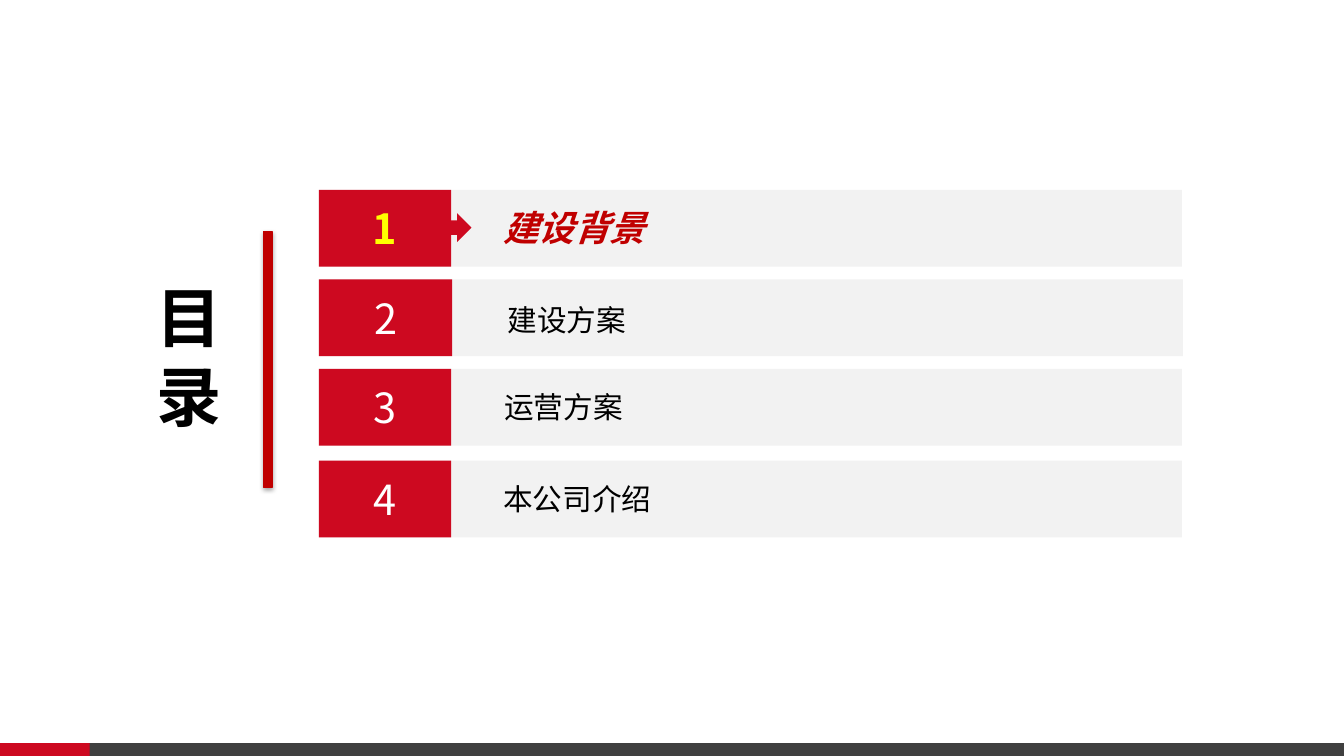
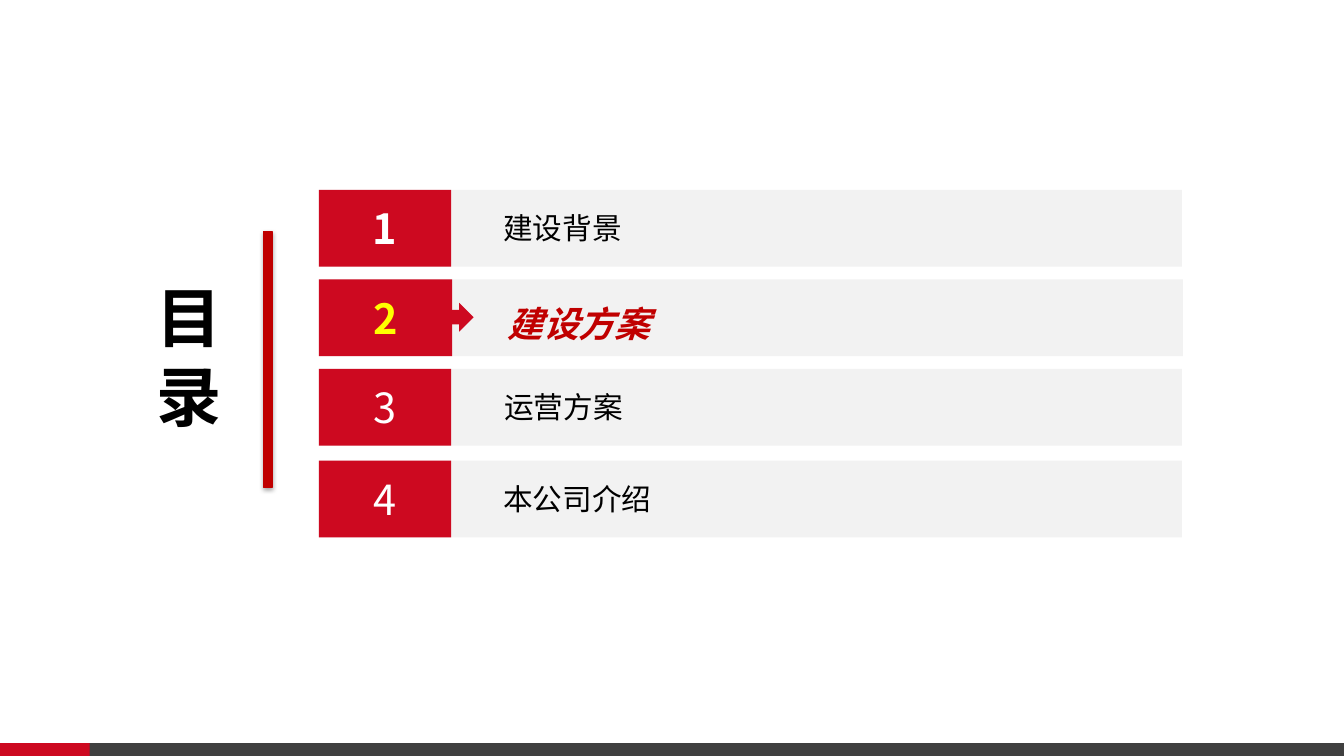
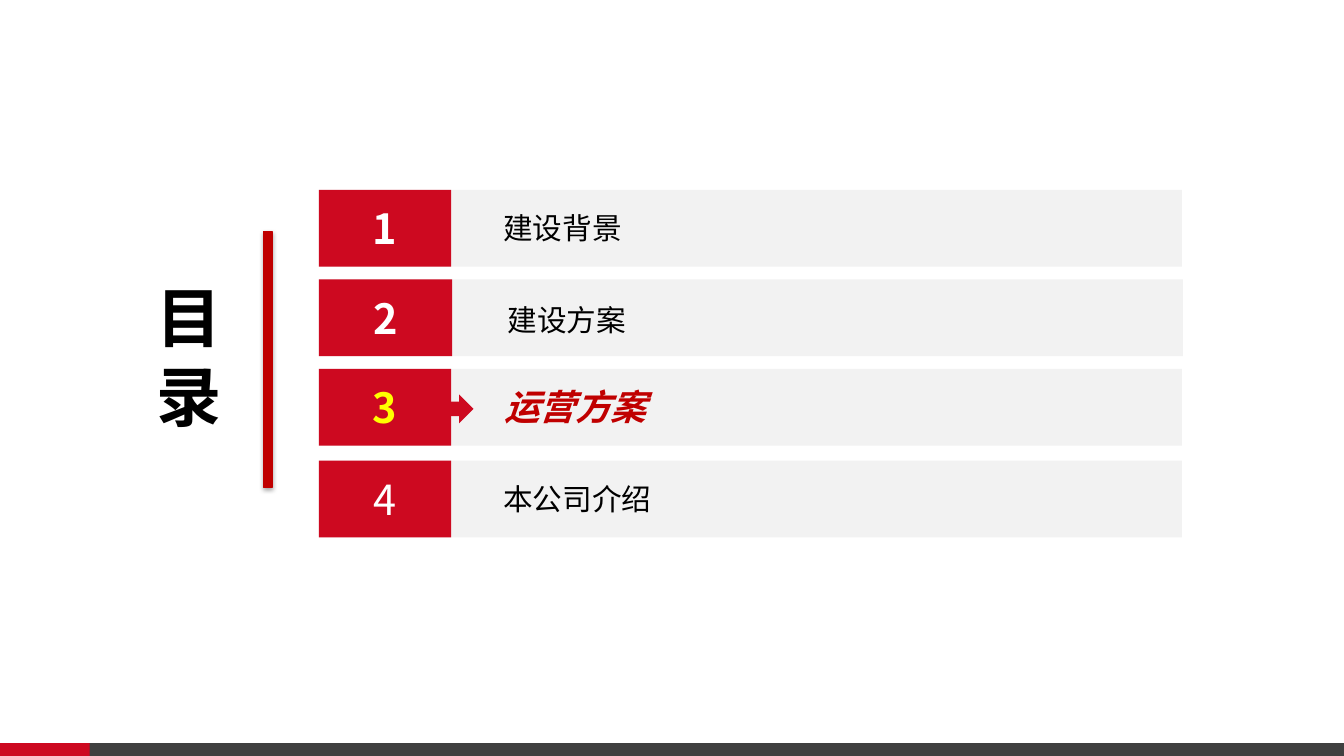
"""Build three agenda slides, each highlighting its current section."""
from dataclasses import dataclass

import pptx
import pptx.dml.color
import pptx.enum.shapes
import pptx.enum.text
import pptx.oxml
import pptx.oxml.ns
import pptx.util
from pptx.shapes.autoshape import Shape
from pptx.slide import Slide

EMU_PER_PX = 9144
FONT = "Noto Sans CJK SC"
RED, DARK_RED, GRAY = "CD0920", "C00000", "404040"
PALE, WHITE, YELLOW, BLACK = "F2F2F2", "FFFFFF", "FFFF00", "000000"
RECTANGLE = pptx.enum.shapes.MSO_SHAPE.RECTANGLE
RIGHT_ARROW = pptx.enum.shapes.MSO_SHAPE.RIGHT_ARROW
LEFT = pptx.enum.text.PP_ALIGN.LEFT
CENTER = pptx.enum.text.PP_ALIGN.CENTER
ROW_LEFT, ROW_HEIGHT = 299, 72
SHADOW = (
    f'<a:effectLst {pptx.oxml.ns.nsdecls("a")}>'
    '<a:outerShdw blurRad="39370" dist="22860" dir="5400000" rotWithShape="0">'
    '<a:srgbClr val="000000"><a:alpha val="35000"/></a:srgbClr>'
    "</a:outerShdw></a:effectLst>"
)


@dataclass(frozen=True)
class Box:
    left: int
    top: int
    width: int
    height: int

    def emu(self) -> list[pptx.util.Emu]:
        return [px(value) for value in (self.left, self.top, self.width, self.height)]


@dataclass(frozen=True)
class TextStyle:
    size: int
    color: str
    bold: bool = False
    italic: bool = False


@dataclass(frozen=True)
class Section:
    number: int
    name: str
    top: int
    bar_width: int
    number_width: int
    label: Box
    current_label: Box
    arrow: Box


SECTIONS = (
    Section(1, "建设背景", 178, 809, 124,
            Box(462, 200, 614, 27), Box(462, 200, 614, 27), Box(403, 200, 39, 27)),
    Section(2, "建设方案", 262, 810, 125,
            Box(466, 278, 132, 44), Box(466, 278, 155, 50), Box(405, 284, 39, 27)),
    Section(3, "运营方案", 346, 809, 124,
            Box(463, 368, 614, 27), Box(463, 368, 614, 27), Box(405, 370, 39, 27)),
    Section(4, "本公司介绍", 432, 809, 124,
            Box(462, 454, 614, 27), Box(462, 454, 614, 27), Box(405, 454, 39, 27)),
)
LABEL = TextStyle(20, BLACK)
CURRENT_LABEL = TextStyle(24, DARK_RED, bold=True, italic=True)
TITLE = TextStyle(44, BLACK, bold=True)


def px(value: int) -> pptx.util.Emu:
    return pptx.util.Emu(value * EMU_PER_PX)


def rgb(value: str) -> pptx.dml.color.RGBColor:
    return pptx.dml.color.RGBColor.from_string(value)


def add_block(slide: Slide, box: Box, color: str, preset=RECTANGLE) -> Shape:
    shape = slide.shapes.add_shape(preset, *box.emu())
    shape.shadow.inherit = False
    shape.fill.solid()
    shape.fill.fore_color.rgb = rgb(color)
    shape.line.fill.background()
    return shape


def write_text(shape: Shape, text: str, style: TextStyle, alignment, wrap: bool = True):
    frame = shape.text_frame
    frame.word_wrap = wrap
    frame.vertical_anchor = pptx.enum.text.MSO_ANCHOR.MIDDLE
    paragraph = frame.paragraphs[0]
    paragraph.alignment = alignment
    run = paragraph.add_run()
    run.text = text
    run.font.name = FONT
    run.font.size = pptx.util.Pt(style.size)
    run.font.bold = style.bold
    run.font.italic = style.italic
    run.font.color.rgb = rgb(style.color)
    east_asian = pptx.oxml.parse_xml(
        f'<a:ea {pptx.oxml.ns.nsdecls("a")} typeface="{FONT}"/>'
    )
    run.font._element.find(pptx.oxml.ns.qn("a:latin")).addnext(east_asian)
    return paragraph


def add_frame(slide: Slide) -> None:
    add_block(slide, Box(0, 697, 144, 17), RED)
    add_block(slide, Box(84, 697, 1176, 17), GRAY)
    title = slide.shapes.add_textbox(*Box(124, 125, 107, 417).emu())
    paragraph = write_text(title, "目录", TITLE, CENTER)
    paragraph.line_spacing = pptx.util.Pt(53)
    divider = add_block(slide, Box(247, 217, 8, 240), DARK_RED)
    divider.line.color.rgb = rgb(DARK_RED)
    divider.line.width = pptx.util.Pt(0.75)
    properties = divider._element.spPr
    properties.remove(properties.find(pptx.oxml.ns.qn("a:effectLst")))
    properties.append(pptx.oxml.parse_xml(SHADOW))


def add_section(slide: Slide, section: Section, current: int) -> None:
    is_current = section.number == current
    add_block(slide, Box(ROW_LEFT, section.top, section.bar_width, ROW_HEIGHT), PALE)
    number = add_block(
        slide, Box(ROW_LEFT, section.top, section.number_width, ROW_HEIGHT), RED
    )
    number_style = TextStyle(
        28, YELLOW if is_current else WHITE, bold=section.number <= current
    )
    write_text(number, str(section.number), number_style, CENTER)
    if is_current:
        add_block(slide, section.arrow, RED, RIGHT_ARROW)
    box = section.current_label if is_current else section.label
    label = slide.shapes.add_textbox(*box.emu())
    style = CURRENT_LABEL if is_current else LABEL
    write_text(label, section.name, style, LEFT, wrap=box.width > 200)


def main() -> None:
    presentation = pptx.Presentation()
    presentation.slide_width = px(1260)
    presentation.slide_height = px(709)
    for current in (1, 2, 3):
        slide = presentation.slides.add_slide(presentation.slide_layouts[6])
        add_frame(slide)
        for section in SECTIONS:
            add_section(slide, section, current)
    presentation.save("out.pptx")


if __name__ == "__main__":
    main()
